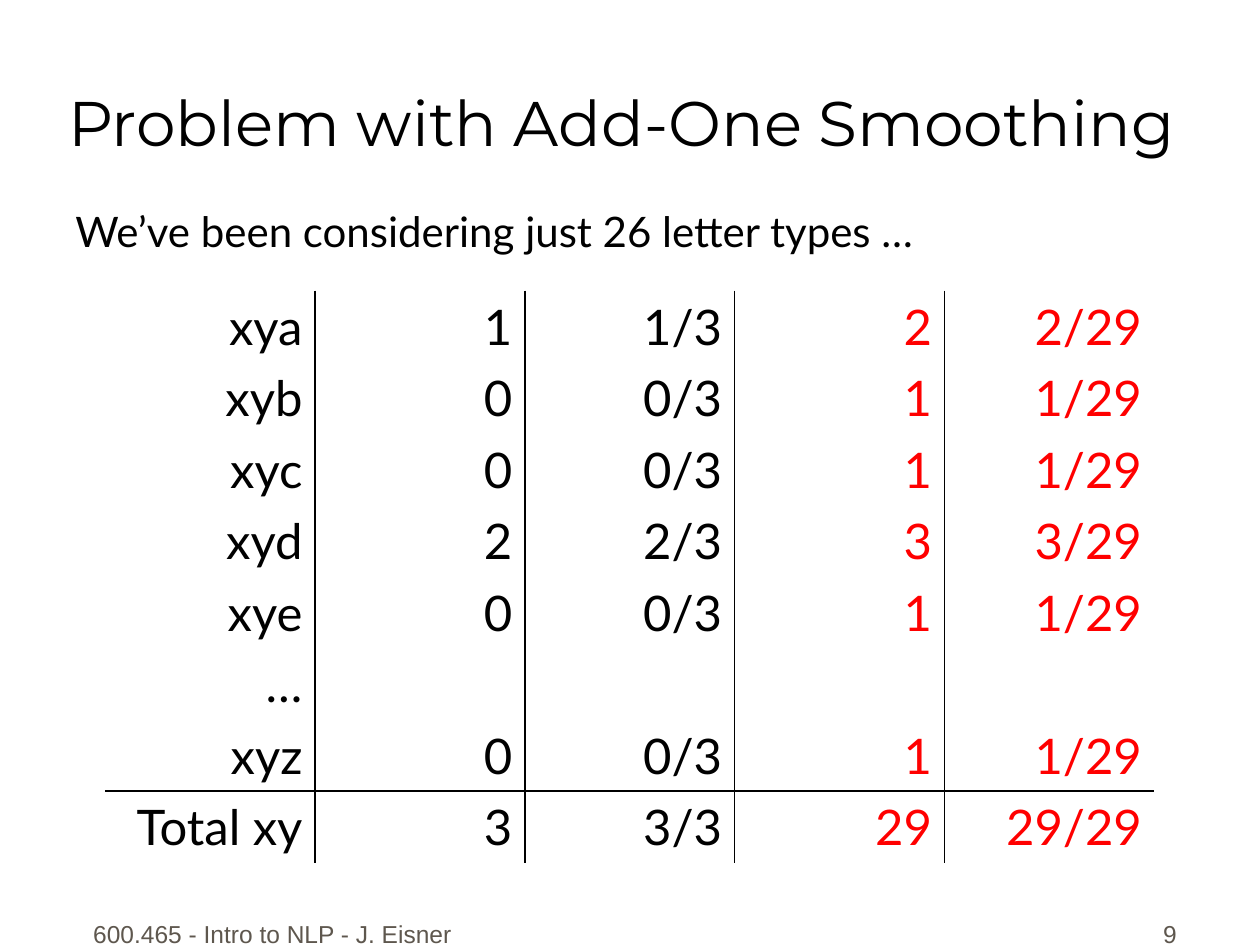
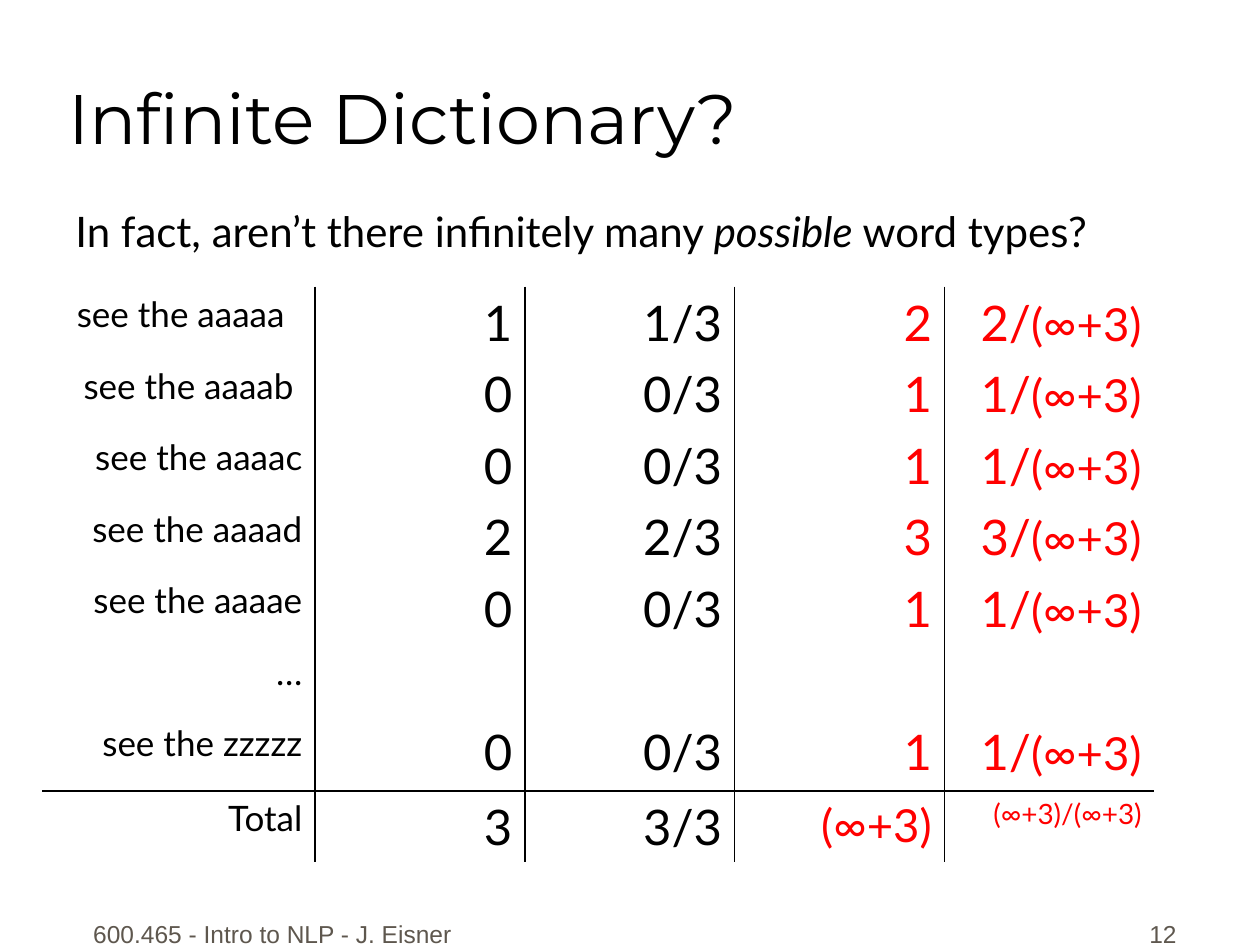
from lxml.etree import SubElement
from pptx import Presentation
from pptx.dml.color import RGBColor
from pptx.enum.text import MSO_ANCHOR as Anchor, MSO_AUTO_SIZE as AutoSize, PP_ALIGN as Align
from pptx.oxml.ns import qn
from pptx.util import Cm, Pt

BLACK, RED, GREY = "000000", "FF0000", "5E574E"
HEADING, BODY, FOOTER = "Montserrat", "Lato", "Arial"
PLAIN_TABLE = "{2D5ABB26-0587-4C30-8999-92F81FD0307C}"
TITLE_ONLY = 5
COURSE = "600.465 - Intro to NLP - J. Eisner"
COUNTS = [1, 0, 0, 2, 0, None, 0]
OBSERVED = sum(count or 0 for count in COUNTS)


def color(hex_value):
    return RGBColor.from_string(hex_value)


def set_format(target, values):
    for name, value in values.items():
        setattr(target, name, value)


class Deck:
    def __init__(self):
        self.presentation = Presentation()
        set_format(self.presentation, {"slide_width": Cm(25.4), "slide_height": Cm(19.05)})
        self.slide = None

    def add_text(self, frame, runs, font, hex_value=BLACK, align=Align.LEFT):
        paragraph = frame.paragraphs[0]
        paragraph.alignment = align
        for text, size, *italic in runs:
            run = paragraph.add_run()
            run.text = text
            set_format(run.font, {"name": font, "size": Pt(size), "italic": bool(italic)})
            run.font.color.rgb = color(hex_value)

    def add_slide(self, title, size, width, number):
        layout = self.presentation.slide_layouts[TITLE_ONLY]
        self.slide = self.presentation.slides.add_slide(layout)
        shape = self.slide.shapes.title
        set_format(shape, {"left": Cm(1.12), "top": Cm(0.15),
                           "width": Cm(width), "height": Cm(3.18)})
        set_format(shape.text_frame, {"auto_size": AutoSize.NONE,
                                      "vertical_anchor": Anchor.BOTTOM})
        self.add_text(shape.text_frame, [(title, size)], HEADING)
        self.footer(COURSE, 1.47, 8.05, Align.CENTER)
        self.footer(str(number), 18.69, 5.28, Align.RIGHT)

    def text_box(self, left, top, width, height, anchor):
        shape = self.slide.shapes.add_textbox(Cm(left), Cm(top), Cm(width), Cm(height))
        set_format(shape.text_frame, {"word_wrap": True, "vertical_anchor": anchor})
        return shape.text_frame

    def footer(self, text, left, width, align):
        frame = self.text_box(left, 17.98, width, 1.27, Anchor.BOTTOM)
        self.add_text(frame, [(text, 14)], FOOTER, GREY, align)

    def lead(self, runs):
        self.add_text(self.text_box(1.27, 4.01, 24.13, 12.9, Anchor.TOP), runs, BODY)

    def border(self, cell, sides):
        properties = cell._tc.get_or_add_tcPr()
        for side, visible in sides.items():
            line = SubElement(properties, qn(f"a:ln{side}"), w=str(Pt(1)))
            if visible:
                fill = SubElement(line, qn("a:solidFill"))
                SubElement(fill, qn("a:srgbClr"), val=BLACK)
            else:
                SubElement(line, qn("a:noFill"))

    def table(self, left, top, widths, heights, rows, shifts):
        shape = self.slide.shapes.add_table(
            len(rows), len(widths), Cm(left), Cm(top), Cm(sum(widths)), Cm(sum(heights)))
        table = shape.table
        set_format(table, {"first_row": False, "horz_banding": False})
        table._tbl.tblPr.find(qn("a:tableStyleId")).text = PLAIN_TABLE
        for column, width in zip(table.columns, widths):
            column.width = Cm(width)
        last_row, last_column = len(rows) - 1, len(widths) - 1
        for r, (height, row) in enumerate(zip(heights, rows)):
            table.rows[r].height = Cm(height)
            for c, runs in enumerate(row):
                cell = table.cell(r, c)
                self.border(cell, {"L": c > 0, "R": c < last_column,
                                   "T": r == last_row, "B": r == last_row - 1})
                cell.fill.background()
                self.add_text(cell.text_frame, runs, BODY, RED if c > 2 else BLACK, Align.RIGHT)
        for r, shift in enumerate(shifts):
            table.cell(r, 0).margin_right = Cm(0.25 + shift)


def smoothing_rows(labels, label_size, denominator, total):
    rows = []
    for label, count in zip(labels, COUNTS):
        row = [[(label, label_size)]]
        if count is None:
            row += [[] for _ in range(4)]
        else:
            row += [[(str(count), 28)], [(f"{count}/{OBSERVED}", 28)],
                    [(str(count + 1), 28)], [(f"{count + 1}/", 28), denominator]]
        rows.append(row)
    rows.append([[(labels[-1], label_size)], [(str(OBSERVED), 28)],
                 [(f"{OBSERVED}/{OBSERVED}", 28)], [denominator], [total]])
    return rows


deck = Deck()
column, line = 4.23, 1.44

deck.add_slide("Problem with Add-One Smoothing", 36, 24.28, 9)
letters = [f"xy{letter}" for letter in "abcde"] + ["…", "xyz", "Total xy"]
deck.table(2.12, 5.86, [column] * 5, [line] * 8,
           smoothing_rows(letters, 28, ("29", 28), ("29/29", 28)), [])
deck.lead([("We’ve been considering just 26 letter types …", 24)])

deck.add_slide("Infinite Dictionary?", 40, 21.59, 12)
deck.lead([("In fact, aren’t there infinitely many ", 24), ("possible", 24, True),
           (" word types?", 24)])
words = [f"see the aaaa{letter}" for letter in "abcde"] + ["…", "see the zzzzz", "Total"]
deck.table(0.85, 5.78, [5.5] + [column] * 4, [line] * 6 + [1.52, line],
           smoothing_rows(words, 20, ("(∞+3)", 26), ("(∞+3)/(∞+3)", 16)), [0.36, 0.18])

deck.presentation.save("out.pptx")
